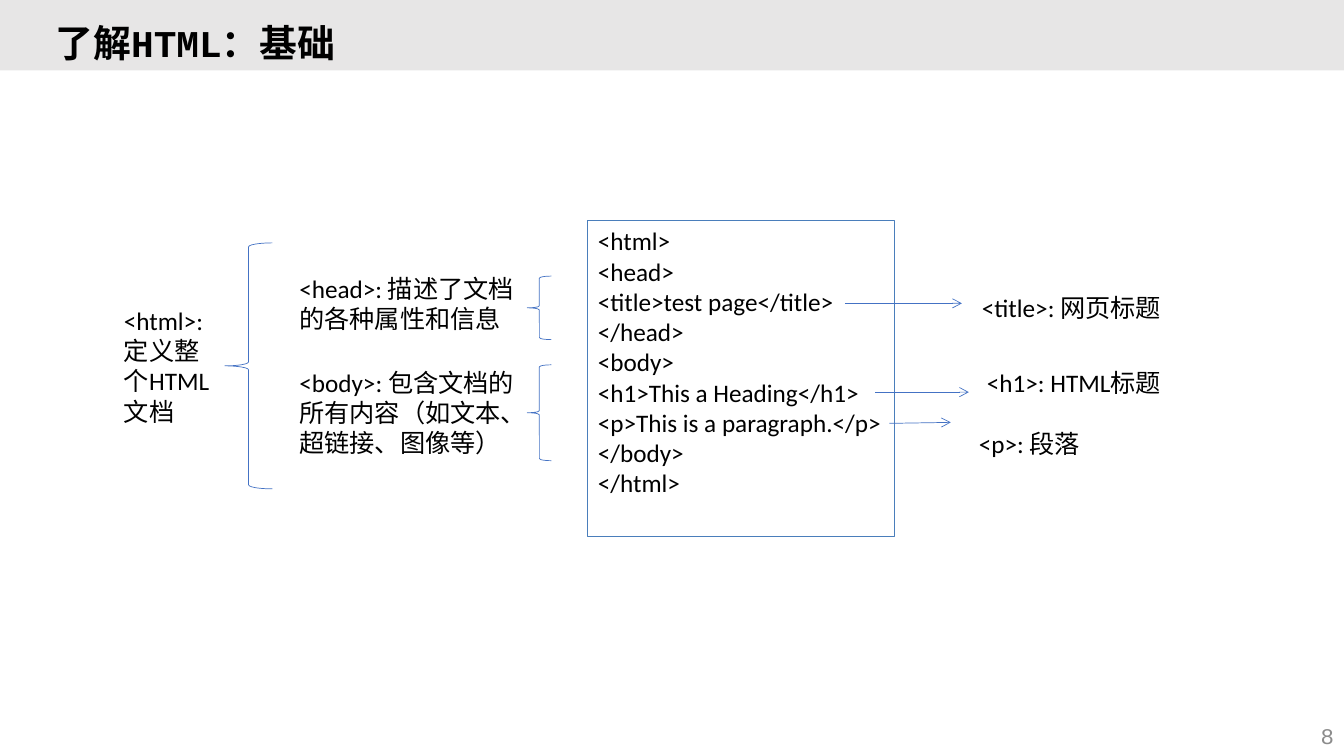
from typing import NamedTuple

from lxml import etree
from pptx import Presentation
from pptx.dml.color import RGBColor
from pptx.enum.shapes import MSO_CONNECTOR, MSO_SHAPE
from pptx.enum.text import MSO_ANCHOR, MSO_AUTO_SIZE, PP_ALIGN
from pptx.oxml.ns import qn
from pptx.util import Inches, Pt

RECT, BRACE = MSO_SHAPE.RECTANGLE, MSO_SHAPE.LEFT_BRACE
STRAIGHT = MSO_CONNECTOR.STRAIGHT
TOP, MIDDLE = MSO_ANCHOR.TOP, MSO_ANCHOR.MIDDLE
LEFT, RIGHT = PP_ALIGN.LEFT, PP_ALIGN.RIGHT
FIXED = MSO_AUTO_SIZE.NONE

BLACK = RGBColor(0x00, 0x00, 0x00)
GRAY = RGBColor(0x8C, 0x8C, 0x8C)
BAND = RGBColor(0xE7, 0xE6, 0xE6)
BLUE = RGBColor(0x44, 0x72, 0xC4)
FRAME = RGBColor(0x4A, 0x7E, 0xBB)
SANS, MONO = "Calibri", "Courier New"

WIDTH, HEIGHT = Inches(13.33), Inches(7.5)


class Box(NamedTuple):
    """Left, top, width and height in percent of the slide's size."""
    x: float
    y: float
    w: float
    h: float

    def place(self) -> tuple[int, int, int, int]:
        return across(self.x), down(self.y), across(self.w), down(self.h)


class Note(NamedTuple):
    text: str
    box: Box


class Arrow(NamedTuple):
    x1: float
    y1: float
    x2: float
    y2: float


NOTE_X, NOTE_W = 21.53, 17.7
FORK_X, FORK_W = 39.23, 1.8

NOTES = [
    Note("<html>:定义整个HTML文档", Box(8.48, 39.73, 8.25, 17.47)),
    Note("<head>: 描述了文档的各种属性和信息", Box(NOTE_X, 35.47, NOTE_W, 9.47)),
    Note("<body>: 包含文档的所有内容（如文本、超链接、图像等）",
         Box(NOTE_X, 47.87, NOTE_W, 13.47)),
    Note("<title>: 网页标题", Box(72.32, 38, 15, 5.33)),
    Note("<h1>: HTML标题", Box(72.69, 47.87, 14.63, 5.33)),
    Note("<p>: 段落", Box(72.09, 56, 9.15, 5.33)),
]
BRACES = [
    Box(16.73, 32.13, 3.53, 32.53),
    Box(FORK_X, 36.53, FORK_W, 8.4),
    Box(FORK_X, 48.27, FORK_W, 12.67),
]
ARROWS = [
    Arrow(62.87, 40.13, 71.57, 40.13),
    Arrow(65.12, 51.87, 72.09, 51.87),
    Arrow(66.17, 56, 70.74, 55.87),
]
CODE = """<html>
<head>
<title>test page</title>
</head>
<body>
<h1>This a Heading</h1>
<p>This is a paragraph.</p>
</body>
</html>"""


def across(share: float) -> int:
    return round(WIDTH * share / 100)


def down(share: float) -> int:
    return round(HEIGHT * share / 100)


def write(shape, text: str, *, size: float = 18, font: str = SANS,
          color: RGBColor = BLACK, bold: bool = False, align=LEFT,
          anchor=TOP, space: float = 1, wrap: bool = True) -> None:
    frame = shape.text_frame
    frame.text = text
    frame.auto_size = FIXED
    frame.word_wrap = wrap
    frame.vertical_anchor = anchor
    for par in frame.paragraphs:
        par.alignment = align
        par.line_spacing = space
        for run in par.runs:
            run.font.size = Pt(size)
            run.font.name = font
            run.font.bold = bold
            run.font.color.rgb = color


def draw(slide, kind, box: Box, fill: RGBColor | None = None,
         line: RGBColor | None = None, weight: float = 0.5):
    shape = slide.shapes.add_shape(kind, *box.place())
    shape.shadow.inherit = False
    if fill is None:
        shape.fill.background()
    else:
        shape.fill.solid()
        shape.fill.fore_color.rgb = fill
    if line is None:
        shape.line.fill.background()
    else:
        shape.line.color.rgb = line
        shape.line.width = Pt(weight)
    return shape


def label(slide, text: str, box: Box, **style) -> None:
    write(slide.shapes.add_textbox(*box.place()), text, **style)


def point(slide, arrow: Arrow) -> None:
    link = slide.shapes.add_connector(
        STRAIGHT, across(arrow.x1), down(arrow.y1),
        across(arrow.x2), down(arrow.y2))
    link.line.color.rgb = BLUE
    link.line.width = Pt(0.5)
    props = link._element.spPr
    etree.SubElement(props.find(qn("a:ln")), qn("a:tailEnd"), type="arrow")
    etree.SubElement(props, qn("a:effectLst"))


def main() -> None:
    deck = Presentation()
    deck.slide_width, deck.slide_height = WIDTH, HEIGHT
    slide = deck.slides.add_slide(deck.slide_layouts.get_by_name("Title Only"))

    band = draw(slide, RECT, Box(0, 0, 100, 9.33), fill=BAND)
    title = slide.shapes.title
    band._element.addnext(title._element)
    title.left, title.top, title.width, title.height = Box(
        3.38, 1.47, 93.85, 9.07).place()
    write(title, "了解HTML：基础", size=27, font=MONO, bold=True,
          anchor=MIDDLE, space=0.9)
    label(slide, "8", Box(77.5, 94.67, 22.5, 5.33), size=16, font=MONO,
          color=GRAY, align=RIGHT, anchor=MIDDLE)

    for box in BRACES:
        draw(slide, BRACE, box, line=BLUE)
    code = draw(slide, RECT, Box(43.74, 29.2, 22.81, 41.73),
                line=FRAME, weight=0.75)
    write(code, CODE, wrap=False)
    for note in NOTES:
        label(slide, note.text, note.box)
    for arrow in ARROWS:
        point(slide, arrow)

    deck.save("out.pptx")


if __name__ == "__main__":
    main()
